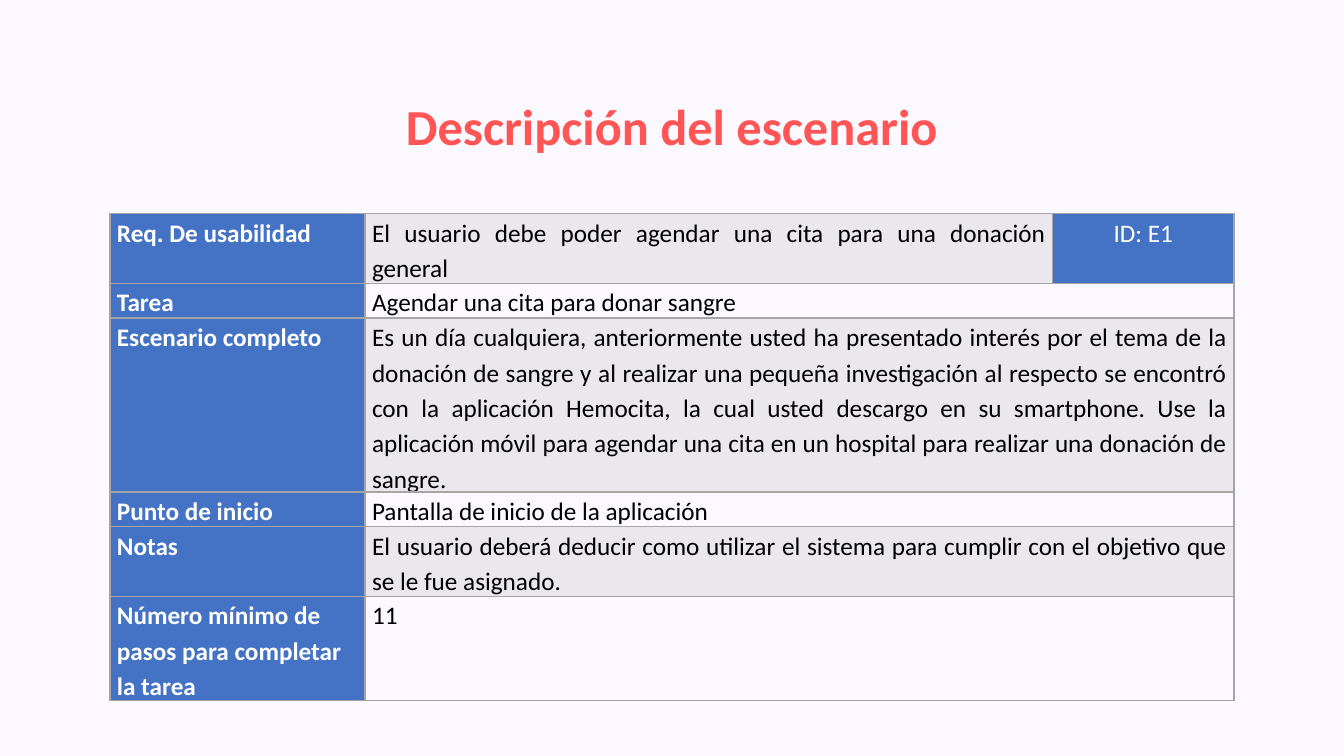
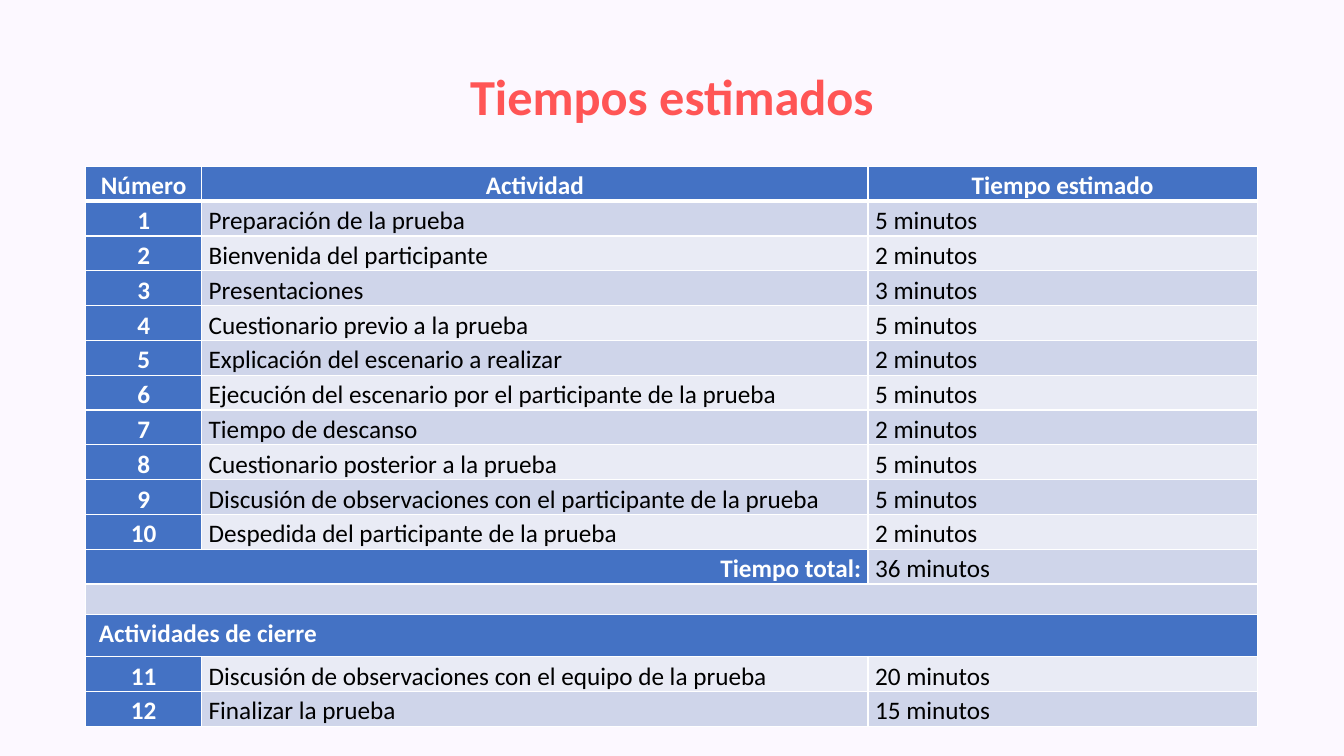
from dataclasses import dataclass

from lxml.etree import SubElement
from pptx import Presentation
from pptx.dml.color import RGBColor
from pptx.enum.text import MSO_ANCHOR, MSO_AUTO_SIZE, PP_ALIGN
from pptx.oxml import parse_xml
from pptx.oxml.ns import nsdecls, qn
from pptx.util import Inches, Pt


@dataclass(frozen=True)
class Theme:
    font: str = "Calibri"
    head: int = 36
    body: int = 18
    lead: float = 1.15
    page: str = "FCF8FF"
    coral: str = "FF5555"
    blue: str = "4472C4"
    gray: str = "A5A5A5"
    white: str = "FFFFFF"
    black: str = "000000"
    dark: str = "CFD5EA"
    light: str = "E9EBF5"


T = Theme()
WIDE, TALL = 13.33, 7.5
LINE = 0.34  # height of one line of table text
PAD = 0.07

# Looks of table cells
LABEL = {"fill": T.blue, "ink": T.white, "bold": True, "align": PP_ALIGN.LEFT}
MID = LABEL | {"align": PP_ALIGN.CENTER}
TOTAL = LABEL | {"align": PP_ALIGN.RIGHT}
CLOSE = LABEL | {"pad": 0.13}
TAG = MID | {"bold": False}
PLAIN = {"fill": T.page, "ink": T.black, "bold": False, "align": PP_ALIGN.JUSTIFY}
SHADE = PLAIN | {"fill": T.gray, "alpha": 20}


def put(item, **vals):
    for name, val in vals.items():
        setattr(item, name, val)


class Deck:
    def __init__(self):
        self.prs = Presentation()
        put(self.prs, slide_width=Inches(WIDE), slide_height=Inches(TALL))
        self.paint(self.prs.slide_master.background.fill, T.page)
        self.slide = None

    def paint(self, fill, tint):
        fill.solid()
        fill.fore_color.rgb = RGBColor.from_string(tint)

    def type(self, font, size, ink, bold):
        put(font, name=T.font, size=Pt(size), bold=bold)
        font.color.rgb = RGBColor.from_string(ink)

    def title(self, text, top, width):
        """Start a slide with a centred title."""
        self.slide = self.prs.slides.add_slide(self.prs.slide_layouts[5])
        box = self.slide.shapes.title
        put(box, left=Inches((WIDE - width) / 2), top=Inches(top),
            width=Inches(width), height=Inches(0.71))
        put(box.text_frame, text=text, word_wrap=False,
            auto_size=MSO_AUTO_SIZE.SHAPE_TO_FIT_TEXT,
            vertical_anchor=MSO_ANCHOR.MIDDLE)
        para = box.text_frame.paragraphs[0]
        para.alignment = PP_ALIGN.CENTER
        self.type(para.runs[0].font, T.head, T.coral, True)

    def edge(self, cell, tint, above=1, below=1):
        """Draw the four cell borders, widths in points."""
        props = cell._tc.get_or_add_tcPr()
        for spot, (side, size) in enumerate(
                [("L", 1), ("R", 1), ("T", above), ("B", below)]):
            props.insert(spot, parse_xml(
                f'<a:ln{side} {nsdecls("a")} w="{Pt(size)}"><a:solidFill>'
                f'<a:srgbClr val="{tint}"/></a:solidFill></a:ln{side}>'))

    def cell(self, cell, text, look):
        pad = look.get("pad", PAD)
        put(cell, margin_left=Inches(pad), margin_right=Inches(PAD),
            margin_top=0, margin_bottom=0)
        self.paint(cell.fill, look["fill"])
        if "alpha" in look:
            tone = cell._tc.tcPr.find(f'{qn("a:solidFill")}/{qn("a:srgbClr")}')
            SubElement(tone, qn("a:alpha"), val=str(look["alpha"] * 1000))
        if text:
            cell.text = text
            para = cell.text_frame.paragraphs[0]
            put(para, alignment=look["align"], line_spacing=T.lead)
            self.type(para.runs[0].font, T.body, look["ink"], look["bold"])

    def table(self, left, top, cols, rows, line, rule=1):
        """rows: (height, cells); a None cell joins the one on its left.
        rule is the width of the line under the first row."""
        high = sum(row[0] for row in rows)
        grid = self.slide.shapes.add_table(
            len(rows), len(cols), Inches(left), Inches(top),
            Inches(sum(cols)), Inches(high)).table
        put(grid, first_row=False, horz_banding=False)
        for col, width in zip(grid.columns, cols):
            col.width = Inches(width)
        for r, (height, cells) in enumerate(rows):
            grid.rows[r].height = Inches(height)
            for c, part in enumerate(cells):
                cell = grid.cell(r, c)
                if part:
                    self.cell(cell, *part)
                    last = c
                    while last + 1 < len(cells) and cells[last + 1] is None:
                        last += 1
                    if last > c:
                        cell.merge(grid.cell(r, last))
                self.edge(cell, line, above=rule if r == 1 else 1,
                          below=rule if r == 0 else 1)


def scene(deck):
    deck.title("Descripción del escenario", 0.89, 5.54)
    # Lines of text, label, description
    facts = [
        (2, "Req. De usabilidad",
         "El usuario debe poder agendar una cita para una donación general"),
        (1, "Tarea", "Agendar una cita para donar sangre"),
        (5, "Escenario completo",
         "Es un día cualquiera, anteriormente usted ha presentado interés por el "
         "tema de la donación de sangre y al realizar una pequeña investigación "
         "al respecto se encontró con la aplicación Hemocita, la cual usted "
         "descargo en su smartphone. Use la aplicación móvil para agendar una "
         "cita en un hospital para realizar una donación de sangre."),
        (1, "Punto de inicio", "Pantalla de inicio de la aplicación"),
        (2, "Notas",
         "El usuario deberá deducir como utilizar el sistema para cumplir con el "
         "objetivo que se le fue asignado."),
        (3, "Número mínimo de pasos para completar la tarea", "11"),
    ]
    rows = [(count * LINE, [(name, LABEL), (text, PLAIN if i % 2 else SHADE), None])
            for i, (count, name, text) in enumerate(facts)]
    rows[0][1][2] = ("ID: E1", TAG)
    deck.table(1.09, 2.12, [2.53, 6.82, 1.8], rows, T.gray)


def times(deck):
    deck.title("Tiempos estimados", 0.59, 4.25)
    tests = [
        ("Preparación de la prueba", 5),
        ("Bienvenida del participante", 2),
        ("Presentaciones", 3),
        ("Cuestionario previo a la prueba", 5),
        ("Explicación del escenario a realizar", 2),
        ("Ejecución del escenario por el participante de la prueba", 5),
        ("Tiempo de descanso", 2),
        ("Cuestionario posterior a la prueba", 5),
        ("Discusión de observaciones con el participante de la prueba", 5),
        ("Despedida del participante de la prueba", 2),
    ]
    ends = [("Discusión de observaciones con el equipo de la prueba", 20),
            ("Finalizar la prueba", 15)]
    dark = PLAIN | {"fill": T.dark}
    heads = ["Número", "Actividad", "Tiempo estimado"]
    rows = [(LINE, [(text, MID) for text in heads])]

    def span(mins, band):
        return f"{mins} minutos", band | {"align": PP_ALIGN.LEFT}

    def add(tasks, first):
        for num, (text, mins) in enumerate(tasks, first):
            band = dark if len(rows) % 2 else PLAIN | {"fill": T.light}
            rows.append((LINE, [(str(num), MID), (text, band), span(mins, band)]))

    add(tests, 1)
    total = sum(mins for _, mins in tests)
    rows += [
        (LINE, [("Tiempo total:", TOTAL), None, span(total, dark)]),
        (0.29, [("", dark), None, None]),
        (0.42, [("Actividades de cierre", CLOSE), None, None]),
    ]
    add(ends, len(tests) + 1)
    deck.table(0.85, 1.65, [1.15, 6.61, 3.86], rows, T.white, rule=3)


def main():
    deck = Deck()
    scene(deck)
    times(deck)
    deck.prs.save("out.pptx")


if __name__ == "__main__":
    main()
